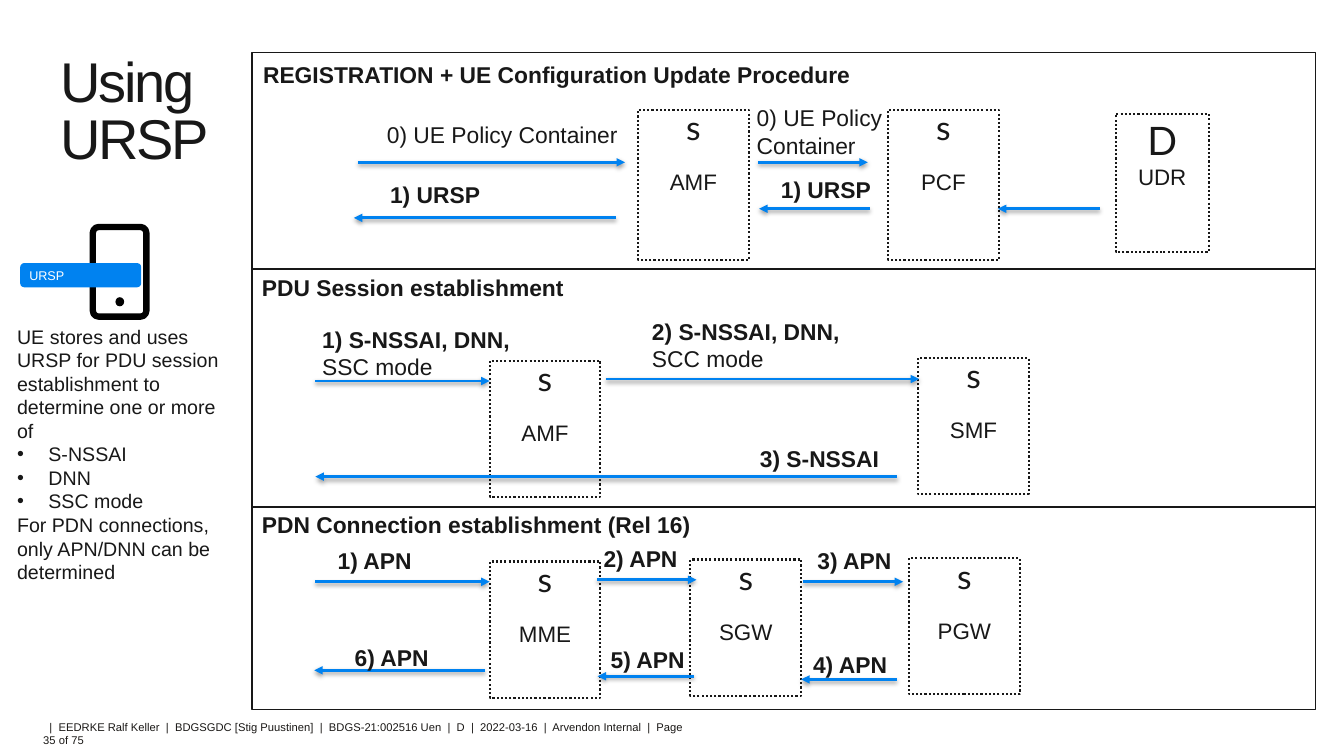
from dataclasses import dataclass

from pptx import Presentation
from pptx.dml.color import RGBColor
from pptx.enum.dml import MSO_LINE
from pptx.enum.shapes import MSO_CONNECTOR, MSO_SHAPE
from pptx.enum.text import MSO_ANCHOR, MSO_AUTO_SIZE, PP_ALIGN
from pptx.oxml import parse_xml
from pptx.oxml.ns import nsdecls
from pptx.util import Cm, Pt

RECT, ROUNDED, OVAL = MSO_SHAPE.RECTANGLE, MSO_SHAPE.ROUNDED_RECTANGLE, MSO_SHAPE.OVAL
STRAIGHT, DOTTED = MSO_CONNECTOR.STRAIGHT, MSO_LINE.ROUND_DOT
TOP, MIDDLE = MSO_ANCHOR.TOP, MSO_ANCHOR.MIDDLE
LEFT, CENTER = PP_ALIGN.LEFT, PP_ALIGN.CENTER
NO_FIT = MSO_AUTO_SIZE.NONE


@dataclass(frozen=True)
class Theme:
    ink: RGBColor = RGBColor(0x18, 0x18, 0x18)
    footer_ink: RGBColor = RGBColor(0x1A, 0x18, 0x16)
    blue: RGBColor = RGBColor(0x00, 0x82, 0xF0)
    white: RGBColor = RGBColor(0xFF, 0xFF, 0xFF)
    black: RGBColor = RGBColor(0x01, 0x01, 0x01)
    font: str = "Arial"
    icon_font: str = "Lato"
    title: float = 40
    label: float = 16.3
    node: float = 16
    body: float = 14
    tag: float = 9
    footer: float = 8


@dataclass(frozen=True)
class Panel:
    heading: str
    top: float
    heading_left: float
    heading_top: float


@dataclass(frozen=True)
class Node:
    name: str
    left: float
    top: float
    height: float = 3.43
    width: float = 2.79
    icon: str = "s"
    icon_size: float = 24
    spacing: float = 0.9
    gap: float = 16.6


@dataclass(frozen=True)
class Arrow:
    y: float
    start: float
    end: float


@dataclass(frozen=True)
class Label:
    """Bold text followed by plain text; a newline is a line break."""
    bold: str
    left: float
    top: float
    width: float = 4.06
    plain: str = ""


THEME = Theme()
PANEL_LEFT, PANEL_WIDTH, PANEL_BOTTOM = 6.35, 26.8, 17.88
PANELS = [
    Panel("REGISTRATION + UE Configuration Update Procedure", 1.32, 6.38, 1.4),
    Panel("PDU Session establishment", 6.78, 6.35, 6.76),
    Panel("PDN Connection establishment (Rel 16)", 12.78, 6.35, 12.75),
]
NODES = [
    Node("AMF", 16.08, 2.77, 3.78),
    Node("PCF", 22.38, 2.77, 3.78),
    Node("UDR", 28.12, 2.87, 3.48, 2.34, "D", 28, 1.0, 0),
    Node("AMF", 12.34, 9.09), Node("SMF", 23.14, 9.02),
    Node("MME", 12.34, 14.15), Node("SGW", 17.4, 14.1), Node("PGW", 22.91, 14.07),
]
ARROWS = [
    Arrow(4.09, 9.02, 15.75), Arrow(4.09, 19.1, 21.87), Arrow(5.26, 27.71, 25.15),
    Arrow(5.26, 21.92, 19.13), Arrow(5.49, 15.52, 8.92),
    Arrow(9.6, 7.95, 12.34), Arrow(9.55, 15.27, 23.16), Arrow(12.01, 22.61, 7.95),
    Arrow(14.66, 7.95, 12.34), Arrow(14.61, 15.04, 17.55), Arrow(14.66, 20.24, 22.76),
    Arrow(17.12, 22.61, 20.19), Arrow(17.04, 17.48, 15.06), Arrow(16.89, 12.22, 7.92),
]
LABELS = [
    Label("", 9.5, 2.92, 8.38, "0) UE Policy Container"),
    Label("", 18.82, 2.49, 8.38, "0) UE Policy \nContainer"),
    Label("1) URSP", 9.58, 4.42, 6.12), Label("1) URSP", 19.43, 4.29, 8.18),
    Label("1) S-NSSAI, DNN, ", 7.87, 8.08, 6.2, "SSC mode"),
    Label("2) S-NSSAI, DNN, ", 16.18, 7.87, 6.2, "SCC mode"),
    Label("3) S-NSSAI", 18.9, 11.07),
    Label("1) APN", 8.26, 13.64, 5.77), Label("2) APN", 14.96, 13.59),
    Label("3) APN", 20.35, 13.64), Label("4) APN", 20.24, 16.26),
    Label("5) APN", 15.14, 16.15), Label("6) APN", 8.69, 16.08),
]
BODY = [
    ("UE stores and uses URSP for PDU session establishment to determine one or more of", False),
    ("S-NSSAI", True), ("DNN", True), ("SSC mode", True),
    ("For PDN connections, only APN/DNN can be determined", False),
]
FOOTER = ["", "EEDRKE Ralf Keller", "BDGSGDC [Stig Puustinen]", "BDGS-21:002516 Uen", "D",
          "2022-03-16", "Arvendon Internal", "Page 35 of 75"]


def add_text(p, text: str, size: float, color=THEME.ink, font=THEME.font, bold=False) -> None:
    for i, line in enumerate(text.split("\n")):
        if i:
            p.add_line_break()
        r = p.add_run()
        r.text = line
        r.font.size, r.font.name, r.font.bold = Pt(size), font, bold
        r.font.color.rgb = color


def place(sp, left: float, top: float, width: float, height: float) -> None:
    sp.left, sp.top, sp.width, sp.height = Cm(left), Cm(top), Cm(width), Cm(height)


def set_frame(tf, anchor=TOP, margins=(0.25, 0.13, 0.25, 0.13)) -> None:
    """Wrap the text and set anchor and left, top, right, bottom margins."""
    tf.word_wrap, tf.auto_size, tf.vertical_anchor = True, NO_FIT, anchor
    tf.margin_left, tf.margin_top, tf.margin_right, tf.margin_bottom = map(Cm, margins)


def add_shape(s, kind, left, top, width, height, fill=None, line=None, weight=1.0):
    sp = s.shapes.add_shape(kind, Cm(left), Cm(top), Cm(width), Cm(height))
    sp.shadow.inherit = False
    for paint, color in ((sp.fill, fill), (sp.line.fill, line)):
        if color is None:
            paint.background()
        else:
            paint.solid()
            paint.fore_color.rgb = color
    if line is not None:
        sp.line.width = Pt(weight)
    return sp


def add_label(s, label: Label) -> None:
    tf = s.shapes.add_textbox(Cm(label.left), Cm(label.top), Cm(label.width), Cm(0.97)).text_frame
    set_frame(tf)
    for text, bold in ((label.bold, True), (label.plain, False)):
        if text:
            add_text(tf.paragraphs[0], text, THEME.label, bold=bold)


def add_node(s, node: Node) -> None:
    sp = add_shape(s, RECT, node.left, node.top, node.width, node.height,
                   THEME.white, THEME.ink, 1.5)
    sp.line.dash_style = DOTTED
    tf = sp.text_frame
    set_frame(tf, margins=(0, 0.05, 0, 0))
    icon, name = tf.paragraphs[0], tf.add_paragraph()
    add_text(icon, node.icon, node.icon_size, font=THEME.icon_font)
    add_text(name, node.name, THEME.node)
    name.space_before = Pt(node.gap)
    for p in (icon, name):
        p.alignment, p.line_spacing = CENTER, node.spacing


def add_arrow(s, arrow: Arrow) -> None:
    cx = s.shapes.add_connector(STRAIGHT, Cm(arrow.start), Cm(arrow.y), Cm(arrow.end), Cm(arrow.y))
    cx.line.color.rgb, cx.line.width = THEME.blue, Pt(2)
    cx.line._get_or_add_ln().append(parse_xml(f'<a:tailEnd {nsdecls("a")} type="triangle"/>'))
    cx._element.spPr.append(parse_xml(
        f'<a:effectLst {nsdecls("a")}><a:outerShdw blurRad="39370" dist="20320" dir="5400000" '
        'rotWithShape="0"><a:srgbClr val="000000"><a:alpha val="38000"/></a:srgbClr>'
        '</a:outerShdw></a:effectLst>'))


def add_title(s) -> None:
    sp = s.shapes.title
    place(sp, 1.32, 1.32, 23.22, 3)
    set_frame(sp.text_frame, margins=(0.2, 0.1, 0, 0))
    p = sp.text_frame.paragraphs[0]
    p.alignment, p.line_spacing, p.space_before = LEFT, 0.85, Pt(3)
    add_text(p, "Using\nURSP", THEME.title)
    for r in p.runs:
        r._r.get_or_add_rPr().set("spc", "-160")


def add_body(s) -> None:
    sp = s.placeholders[1]
    place(sp, 0.18, 8.05, 5.94, 6.83)
    tf = sp.text_frame
    set_frame(tf)
    for i, (text, bulleted) in enumerate(BODY):
        p = tf.add_paragraph() if i else tf.paragraphs[0]
        p.space_before = Pt(0)
        indent = Cm(0.79) if bulleted else 0
        pPr = p._p.get_or_add_pPr()
        pPr.set("marL", str(indent))
        pPr.set("indent", str(-indent))
        bullet = 'buChar char="•"' if bulleted else "buNone"
        pPr.append(parse_xml(f'<a:{bullet} {nsdecls("a")}/>'.replace("a:buChar char=", "a:buChar char=")))
        add_text(p, text, THEME.body)


def add_phone(s) -> None:
    case = add_shape(s, ROUNDED, 2.34, 5.72, 1.35, 2.26, line=THEME.black, weight=4.5)
    case.adjustments[0] = 0.11
    add_shape(s, OVAL, 2.91, 7.49, 0.22, 0.23, THEME.black)
    tag = add_shape(s, ROUNDED, 0.51, 6.63, 3.05, 0.61, THEME.blue)
    set_frame(tag.text_frame, MIDDLE, (0.2, 0.1, 0.2, 0.1))
    p = tag.text_frame.paragraphs[0]
    p.alignment = LEFT
    add_text(p, "URSP", THEME.tag, THEME.white)


def add_footer(s) -> None:
    tf = s.shapes.add_textbox(Cm(1.09), Cm(18.14), Cm(16.28), Cm(0.33)).text_frame
    set_frame(tf, margins=(0, 0, 0, 0))
    add_text(tf.paragraphs[0], "  |  ".join(FOOTER), THEME.footer, THEME.footer_ink)


def main() -> None:
    prs = Presentation()
    prs.slide_width, prs.slide_height = Cm(33.87), Cm(19.05)
    s = prs.slides.add_slide(prs.slide_layouts[1])
    add_title(s)
    add_body(s)
    bottoms = [panel.top for panel in PANELS[1:]] + [PANEL_BOTTOM]
    for panel, bottom in zip(PANELS, bottoms):
        add_shape(s, RECT, PANEL_LEFT, panel.top, PANEL_WIDTH, bottom - panel.top, line=THEME.ink)
        add_label(s, Label(panel.heading, panel.heading_left, panel.heading_top, 17.58))
    for node in NODES:
        add_node(s, node)
    for arrow in ARROWS:
        add_arrow(s, arrow)
    for label in LABELS:
        add_label(s, label)
    add_phone(s)
    add_footer(s)
    prs.save("out.pptx")


if __name__ == "__main__":
    main()
